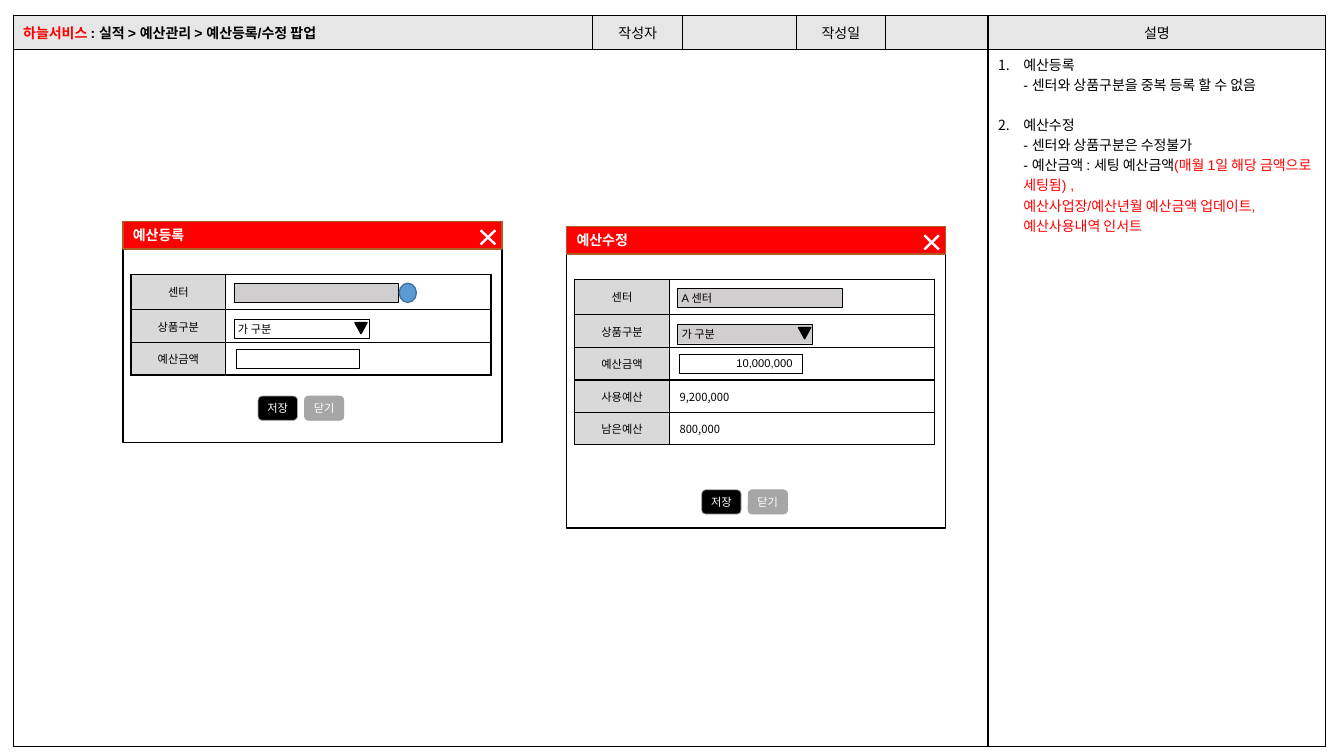
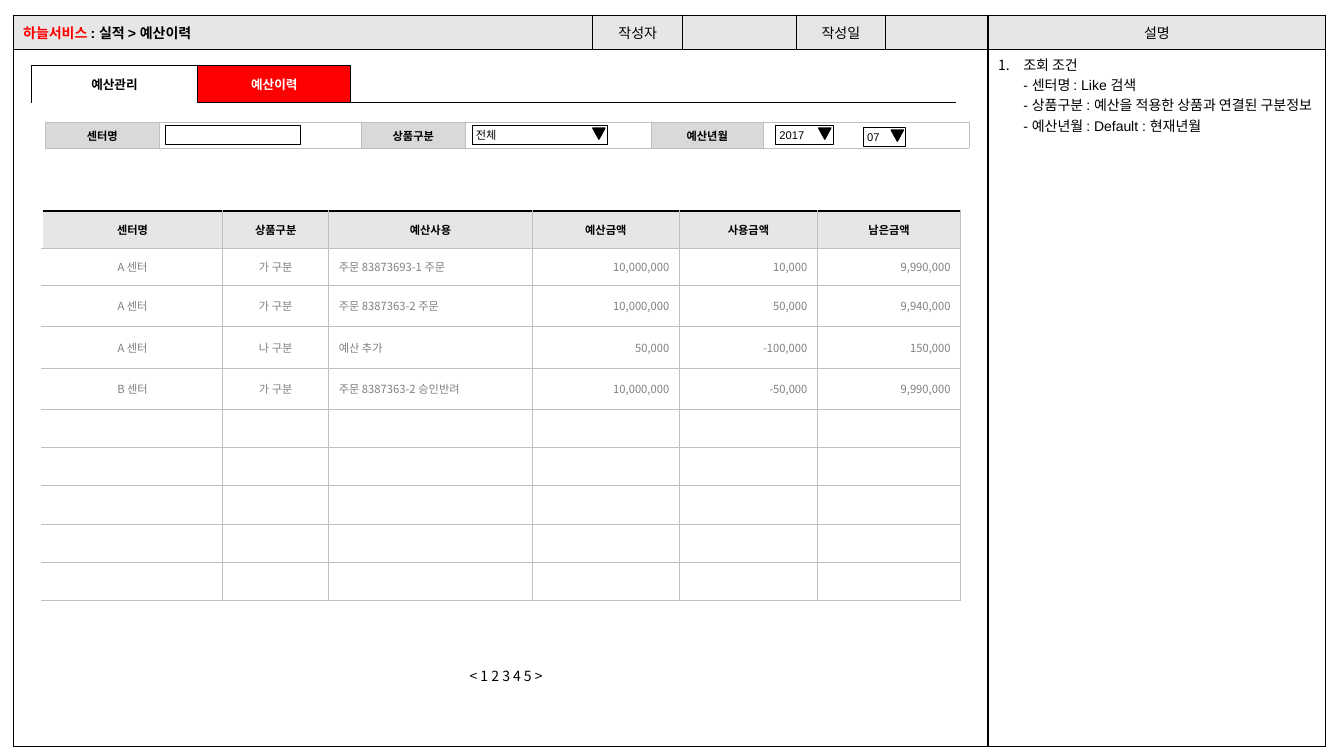
"""Build two wireframe slides for budget registration and budget history."""
from dataclasses import dataclass

import lxml.etree
import pptx
import pptx.dml.color
import pptx.enum.shapes
import pptx.enum.text
import pptx.oxml.ns
import pptx.util

SHAPE = pptx.enum.shapes.MSO_SHAPE
ALIGN = pptx.enum.text.PP_ALIGN
MIDDLE = pptx.enum.text.MSO_ANCHOR.MIDDLE
TOP = pptx.enum.text.MSO_ANCHOR.TOP
qn = pptx.oxml.ns.qn


@dataclass(frozen=True)
class Theme:
    black: str = "000000"
    white: str = "FFFFFF"
    red: str = "FF0000"
    band: str = "E7E6E6"
    label: str = "D9D9D9"
    locked: str = "D0CECE"
    rule: str = "BFBFBF"
    muted: str = "808080"
    bar_edge: str = "AF5C24"
    button_edge: str = "A5A5A5"
    button_off: str = "A6A6A6"
    dot: str = "5B9BD5"
    dot_edge: str = "43739E"
    latin: str = "Arial"
    korean: str = "Noto Sans CJK KR"
    body: int = 10
    tab: int = 9
    small: int = 8


T = Theme()
SITE = "하늘서비스 "
FRAME_COLS, FRAME_ROWS = [575, 89, 113, 88, 102, 335], [34, 692]
FRAME_HEADS = ["작성자", "", "작성일", "", "설명"]

POPUP_SLIDE = dict(
    crumb=": 실적 > 예산관리 > 예산등록/수정 팝업",
    notes=[
        [("예산등록\n- 센터와 상품구분을 중복 등록 할 수 없음", T.black)],
        [("예산수정\n- 센터와 상품구분은 수정불가\n- 예산금액 : 세팅 예산금액", T.black),
         ("(매월 1일 해당 금액으로 세팅됨) , \n예산사업장/예산년월 예산금액 업데이트, 예산사용내역 인서트", T.red)],
    ],
)
POPUPS = [
    dict(title="예산등록", left=122, top=220, height=219, button_y=173, center="", amount="",
         select_fill=T.white, search=True,
         rows=[("센터", ""), ("상품구분", ""), ("예산금액", "")]),
    dict(title="예산수정", left=562, top=225, height=299, button_y=261, center="A 센터",
         amount="10,000,000", select_fill=T.locked, search=False,
         rows=[("센터", ""), ("상품구분", ""), ("예산금액", ""),
               ("사용예산", "9,200,000"), ("남은예산", "800,000")]),
]
POPUP_WIDTH, POPUP_COLS, POPUP_ROWS = 376, [94, 263], [35, 33, 32, 32, 32]
BUTTONS = [("저장", T.black), ("닫기", T.button_off)]

HISTORY_SLIDE = dict(
    crumb=": 실적 > 예산이력",
    notes=[[("조회 조건\n- 센터명 : Like 검색\n- 상품구분 : 예산을 적용한 상품과 연결된 구분정보\n"
             "- 예산년월 : Default : 현재년월", T.black)]],
)
TAB_COLS = [165, 152, 600]
FILTER_COLS = [113, 200, 104, 184, 111, 204]
FILTERS = ["센터명", "", "상품구분", "", "예산년월", ""]
SELECTS = [("전체", 468, 124, 134), ("2017", 769, 124, 57), ("07", 856, 126, 42)]
HISTORY_COLS = [179, 105, 202, 146, 137, 142]
HISTORY_ROWS = [37] * 2 + [41] * 3 + [38] * 5
HISTORY_ALIGN = [ALIGN.CENTER] * 2 + [ALIGN.LEFT] + [ALIGN.RIGHT] * 3
HISTORY = [
    ("센터명", "상품구분", "예산사용", "예산금액", "사용금액", "남은금액"),
    ("A 센터", "가 구분", "주문 83873693-1 주문", "10,000,000", "10,000", "9,990,000"),
    ("A 센터", "가 구분", "주문 8387363-2 주문", "10,000,000", "50,000", "9,940,000"),
    ("A 센터", "나 구분", "예산 추가", "50,000", "-100,000", "150,000"),
    ("B 센터", "가 구분", "주문 8387363-2 승인반려", "10,000,000", "-50,000", "9,990,000"),
] + [("",) * 6] * 5


def px(n):
    return pptx.util.Emu(n * 9144)


def rgb(color):
    return pptx.dml.color.RGBColor.from_string(color)


def write(p, text, size=T.small, color=T.black, bold=False, font=T.korean, align=None):
    if align is not None:
        p.alignment = align
    for i, line in enumerate(text.split("\n")):
        if i:
            p.add_line_break()
        if line:
            r = p.add_run()
            r.text = line
            r.font.size, r.font.bold, r.font.name = pptx.util.Pt(size), bold, font
            r.font.color.rgb = rgb(color)
            ea = lxml.etree.SubElement(r.font._element, qn("a:ea"))
            ea.set("typeface", T.korean)
    if not text:
        lxml.etree.SubElement(p._p, qn("a:endParaRPr")).set("sz", str(size * 100))


def set_insets(box, left, top, right, bottom):
    box.margin_left, box.margin_top = px(left), px(top)
    box.margin_right, box.margin_bottom = px(right), px(bottom)


def add_shape(s, kind, left, top, width, height, fill, line=None, weight=1,
              text="", insets=(10, 5, 10, 5), **fmt):
    sp = s.shapes.add_shape(kind, px(left), px(top), px(width), px(height))
    sp.shadow.inherit = False
    sp.fill.solid()
    sp.fill.fore_color.rgb = rgb(fill)
    if line:
        sp.line.color.rgb = rgb(line)
        sp.line.width = pptx.util.Pt(weight)
    else:
        sp.line.fill.background()
    if text:
        tf = sp.text_frame
        tf.word_wrap, tf.vertical_anchor = True, MIDDLE
        set_insets(tf, *insets)
        write(tf.paragraphs[0], text, **fmt)
    return sp


def add_grid(s, left, top, cols, rows):
    table = s.shapes.add_table(len(rows), len(cols), px(left), px(top),
                               px(sum(cols)), px(sum(rows))).table
    table.first_row = table.horz_banding = False
    for column, width in zip(table.columns, cols):
        column.width = px(width)
    for row, height in zip(table.rows, rows):
        row.height = px(height)
    return table


def edges_all(color, weight):
    return {side: (color, weight) for side in "LRTB"}


def style_cell(cell, edges, fill=None, text="", pad=5, **fmt):
    set_insets(cell, 10, pad, 10, pad)
    cell.vertical_anchor = MIDDLE
    if fill:
        cell.fill.solid()
        cell.fill.fore_color.rgb = rgb(fill)
    else:
        cell.fill.background()
    tc_pr = cell._tc.get_or_add_tcPr()
    for i, side in enumerate("LRTB"):
        ln = lxml.etree.Element(qn("a:ln" + side))
        tc_pr.insert(i, ln)
        if side in edges:
            color, weight = edges[side]
            ln.set("w", str(pptx.util.Pt(weight)))
            solid = lxml.etree.SubElement(ln, qn("a:solidFill"))
            lxml.etree.SubElement(solid, qn("a:srgbClr")).set("val", color)
        else:
            lxml.etree.SubElement(ln, qn("a:noFill"))
    write(cell.text_frame.paragraphs[0], text, **fmt)


def add_frame(prs, crumb, notes):
    s = prs.slides.add_slide(prs.slide_layouts[6])
    table = add_grid(s, 13, 15, FRAME_COLS, FRAME_ROWS)
    edges = edges_all(T.black, 1)
    main = dict(size=T.body, font=T.latin)
    style_cell(table.cell(0, 0), edges, T.band, SITE, color=T.red, bold=True, **main)
    write(table.cell(0, 0).text_frame.paragraphs[0], crumb, bold=True, **main)
    for c, head in enumerate(FRAME_HEADS, 1):
        style_cell(table.cell(0, c), edges, T.band, head, align=ALIGN.CENTER, **main)
    for c in range(5):
        style_cell(table.cell(1, c), edges)
    table.cell(1, 0).merge(table.cell(1, 4))
    panel = table.cell(1, 5)
    style_cell(panel, edges, text=notes[0][0][0], **main)
    panel.vertical_anchor = TOP
    tf = panel.text_frame
    for i, pieces in enumerate(notes):
        p = tf.add_paragraph() if i else tf.paragraphs[0]
        for text, color in pieces if i else pieces[1:]:
            write(p, text, color=color, **main)
        p.space_after = pptx.util.Pt(14)
        p_pr = p._p.get_or_add_pPr()
        p_pr.set("marL", str(px(25)))
        p_pr.set("indent", str(px(-25)))
        lxml.etree.SubElement(p_pr, qn("a:buAutoNum")).set("type", "arabicPeriod")
    return s


def add_field(s, text, left, top, width, fill=T.white, align=ALIGN.LEFT):
    add_shape(s, SHAPE.RECTANGLE, left, top, width, 19, fill, T.black, 0.25, text,
              insets=(4, 5, 10, 5), font=T.latin, align=align)


def add_select(s, text, left, top, width, fill=T.white):
    add_field(s, text, left, top, width, fill)
    arrow = add_shape(s, SHAPE.ISOSCELES_TRIANGLE, left + width - 14, top + 3, 12, 11,
                      T.black, T.black)
    arrow.rotation = 180


def add_popup(s, title, left, top, height, button_y, center, amount, select_fill, search, rows):
    add_shape(s, SHAPE.RECTANGLE, left, top, POPUP_WIDTH, height, T.white, T.black)
    add_shape(s, SHAPE.RECTANGLE, left, top, POPUP_WIDTH, 27, T.red, T.bar_edge, text=title,
              size=T.body, color=T.white, bold=True, align=ALIGN.LEFT)
    close = add_shape(s, SHAPE.MATH_MULTIPLY, left + 348, top + 2, 28, 27, T.white)
    close.adjustments[0] = 0.09
    table = add_grid(s, left + 8, top + 52, POPUP_COLS, POPUP_ROWS[:len(rows)])
    edges = edges_all(T.black, 1)
    for r, (label, value) in enumerate(rows):
        style_cell(table.cell(r, 0), edges, T.label, label, align=ALIGN.CENTER)
        style_cell(table.cell(r, 1), edges, T.white, value)
    field_x = left + 110
    add_field(s, center, field_x, top + 61, 163, T.locked)
    if search:
        add_shape(s, SHAPE.OVAL, field_x + 164, top + 61, 17, 19, T.dot, T.dot_edge)
    add_select(s, "가 구분", field_x, top + 97, 134, select_fill)
    add_field(s, amount, field_x + 2, top + 126, 122, align=ALIGN.RIGHT)
    for i, (text, fill) in enumerate(BUTTONS):
        add_shape(s, SHAPE.ROUNDED_RECTANGLE, left + 134 + 46 * i, top + button_y, 39, 24, fill,
                  T.button_edge, 0.5, text, insets=(0, 0, 0, 0), color=T.white,
                  align=ALIGN.CENTER)


def add_tabs(s):
    black = (T.black, 1)
    table = add_grid(s, 31, 65, TAB_COLS, [37])
    fmt = dict(size=T.tab, bold=True, align=ALIGN.CENTER)
    style_cell(table.cell(0, 0), {"L": (T.black, 0.75), "T": black, "R": black}, T.white,
               "예산관리", **fmt)
    style_cell(table.cell(0, 1), edges_all(*black), T.red, "예산이력", color=T.white, **fmt)
    style_cell(table.cell(0, 2), {"L": black, "B": black})


def add_filters(s):
    table = add_grid(s, 45, 121, FILTER_COLS, [26])
    for c, label in enumerate(FILTERS):
        style_cell(table.cell(0, c), edges_all(T.rule, 0.5), T.label if label else None, label,
                   pad=3, bold=True, align=ALIGN.CENTER)
    add_field(s, "", 164, 124, 134)
    for select in SELECTS:
        add_select(s, *select)


def add_history(s):
    table = add_grid(s, 42, 209, HISTORY_COLS, HISTORY_ROWS)
    for r, values in enumerate(HISTORY):
        head = r == 0
        for c, value in enumerate(values):
            edges = edges_all(T.rule, 0.5)
            if c == 0:
                edges["L"] = (T.white, 1.5)
            if head:
                edges["T"] = (T.black, 1.5)
            style_cell(table.cell(r, c), edges, T.band if head else T.white, value, bold=head,
                       color=T.black if head else T.muted,
                       align=ALIGN.CENTER if head else HISTORY_ALIGN[c])


def main():
    prs = pptx.Presentation()
    prs.slide_width, prs.slide_height = px(1333), px(750)
    s = add_frame(prs, **POPUP_SLIDE)
    for popup in POPUPS:
        add_popup(s, **popup)
    s = add_frame(prs, **HISTORY_SLIDE)
    add_tabs(s)
    add_filters(s)
    add_history(s)
    tf = s.shapes.add_textbox(px(456), px(657), px(113), px(27)).text_frame
    tf.word_wrap = True
    write(tf.paragraphs[0], "< 1 2 3 4 5 >", size=T.body)
    prs.save("out.pptx")


if __name__ == "__main__":
    main()
